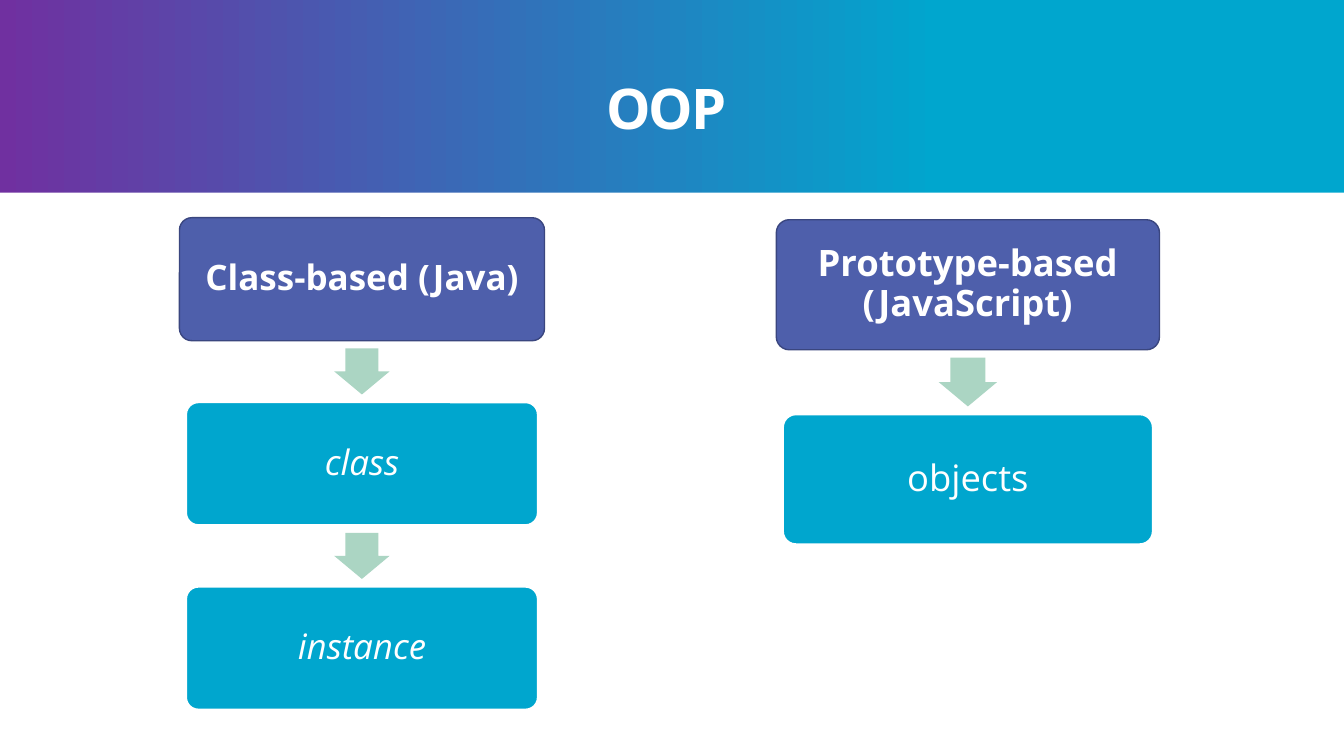
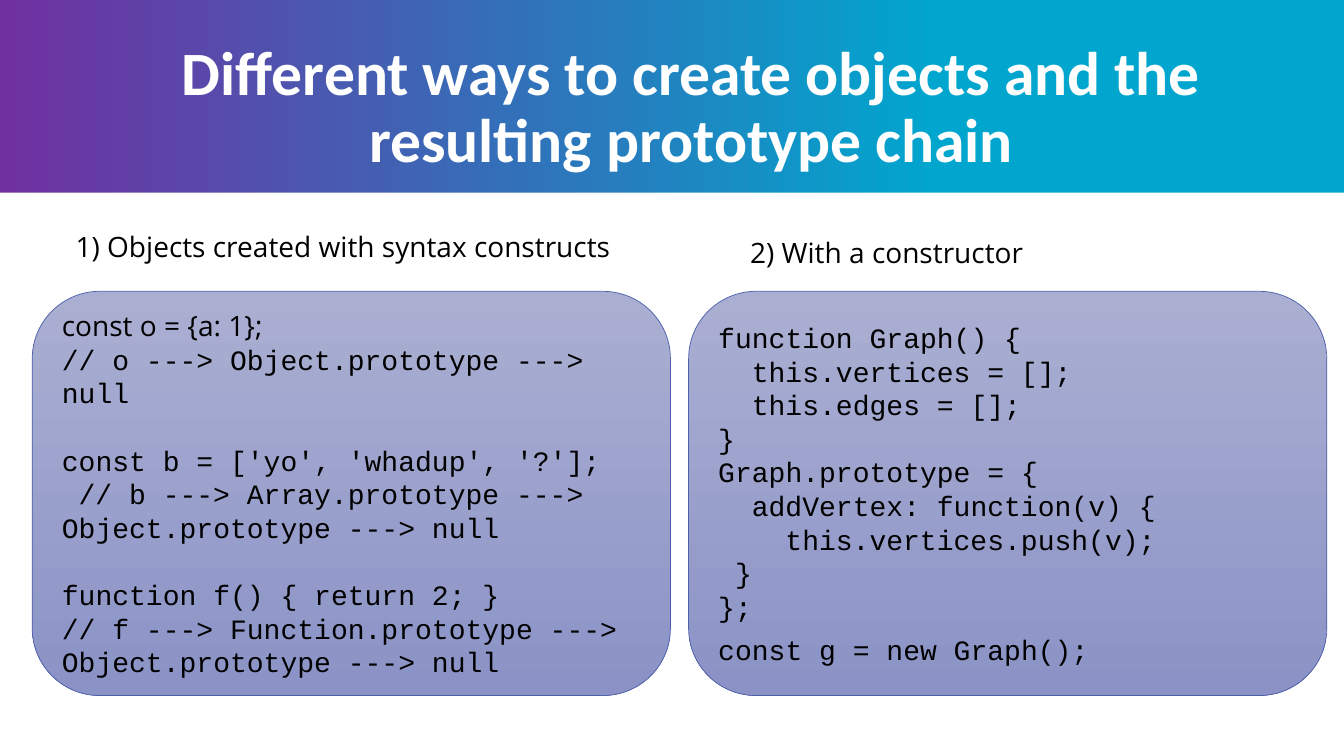
from dataclasses import dataclass

from pptx import Presentation
from pptx.dml.color import RGBColor
from pptx.enum.shapes import MSO_SHAPE as Preset
from pptx.enum.text import MSO_ANCHOR as Anchor, PP_ALIGN as Align
from pptx.util import Inches, Pt

SLIDE_WIDTH, SLIDE_HEIGHT = 13.33, 7.5
BAND_HEIGHT = 1.91
WHITE, BLACK = "FFFFFF", "000000"
CYAN, PURPLE = "00A6CE", "7030A0"
INDIGO, DARK_INDIGO, MINT = "4E5FAB", "3A467F", "ABD5C3"
PANEL_TOP_COLOR, PANEL_BOTTOM_COLOR = "AAAFD2", "8B93C6"
BODY_FONT, TITLE_FONT, CODE_FONT = "Open Sans", "Calibri", "Courier New"
CODE_SIZE, CODE_LINE, CODE_CHARACTER = 20, Pt(24), Pt(12)


@dataclass(frozen=True)
class Flow:
    """A column of boxes joined by arrows, headed by a bold box."""
    center: float
    top: float
    head_width: float
    item_width: float
    height: float
    gap: float
    size: int
    head: str
    items: tuple[str, ...]
    italic: bool = False


@dataclass(frozen=True)
class CodeLine:
    text: str
    space_before: float = 0
    font: str = CODE_FONT


@dataclass(frozen=True)
class Panel:
    left: float
    caption: str
    caption_left: float
    caption_top: float
    lines: tuple[CodeLine, ...]


FLOWS = (
    Flow(3.59, 2.16, 3.62, 3.49, 1.22, 0.61, 25,
         "Class-based (Java)", ("class", "instance"), italic=True),
    Flow(9.6, 2.18, 3.8, 3.67, 1.29, 0.64, 26,
         "Prototype-based (JavaScript)", ("objects",)),
)

PANELS = (
    Panel(0.32, "1) Objects created with syntax constructs", 0.75, 2.28, (
        CodeLine("const o = {a: 1};", font=BODY_FONT),
        CodeLine("// o ---> Object.prototype ---> null"),
        CodeLine("const b = ['yo', 'whadup', '?'];", space_before=24),
        CodeLine(" // b ---> Array.prototype ---> Object.prototype ---> null"),
        CodeLine("function f() { return 2; }", space_before=24),
        CodeLine("// f ---> Function.prototype ---> Object.prototype ---> null"),
    )),
    Panel(6.83, "2) With a constructor", 7.44, 2.34, (
        CodeLine("function Graph() {"),
        CodeLine("  this.vertices = [];"),
        CodeLine("  this.edges = [];"),
        CodeLine("}"),
        CodeLine("Graph.prototype = {"),
        CodeLine("  addVertex: function(v) {"),
        CodeLine("    this.vertices.push(v);"),
        CodeLine(" }"),
        CodeLine("};"),
        CodeLine("const g = new Graph();", space_before=7),
    )),
)


def color(value: str) -> RGBColor:
    return RGBColor.from_string(value)


def fill_gradient(fill, angle: float, *stops: tuple[float, str]) -> None:
    """Set a two-stop gradient; the angle runs counter-clockwise."""
    fill.gradient()
    fill.gradient_angle = angle
    for stop, (position, value) in zip(fill.gradient_stops, stops):
        stop.position = position
        stop.color.rgb = color(value)


def write(paragraph, text: str, *, size: float, font: str = BODY_FONT,
          fill: str = BLACK, bold: bool = False, italic: bool = False,
          align=Align.LEFT, line_spacing=1.0, space_before: float = 0,
          tracking: float = 0) -> None:
    """Put formatted text in a paragraph; tracking is in points."""
    paragraph.alignment = align
    paragraph.line_spacing = line_spacing
    paragraph.space_before = Pt(space_before)
    run = paragraph.add_run()
    run.text = text
    run.font.size, run.font.name = Pt(size), font
    run.font.bold, run.font.italic = bold, italic
    run.font.color.rgb = color(fill)
    if tracking:
        run._r.get_or_add_rPr().set("spc", str(int(tracking * 100)))


def set_frame(shape, *, horizontal: float = 0.1, vertical: float = 0.05,
              anchor=Anchor.MIDDLE):
    frame = shape.text_frame
    frame.word_wrap = True
    frame.vertical_anchor = anchor
    frame.margin_left = frame.margin_right = Inches(horizontal)
    frame.margin_top = frame.margin_bottom = Inches(vertical)
    return frame


def add_text(slide, left: float, top: float, width: float, height: float,
             text: str, **text_format) -> None:
    box = slide.shapes.add_textbox(
        Inches(left), Inches(top), Inches(width), Inches(height))
    frame = set_frame(box, horizontal=0, vertical=0, anchor=Anchor.TOP)
    write(frame.paragraphs[0], text, **text_format)


def add_shape(slide, preset, left: float, top: float, width: float,
              height: float, *, fill: str | None = None,
              line: str | None = None, line_width: float = 1,
              adjustments: tuple[float, ...] = ()):
    shape = slide.shapes.add_shape(
        preset, Inches(left), Inches(top), Inches(width), Inches(height))
    shape.shadow.inherit = False
    for index, value in enumerate(adjustments):
        shape.adjustments[index] = value
    if fill:
        shape.fill.solid()
        shape.fill.fore_color.rgb = color(fill)
    if line:
        shape.line.color.rgb = color(line)
        shape.line.width = Pt(line_width)
    else:
        shape.line.fill.background()
    return shape


def add_titled_slide(presentation, title: str, *, center: float, top: float,
                     **title_format):
    """Add a slide with the gradient band, the white body and a title."""
    slide = presentation.slides.add_slide(presentation.slide_layouts[6])
    fill_gradient(slide.background.fill, 180, (0.3, CYAN), (1, PURPLE))
    add_shape(slide, Preset.RECTANGLE, 0, BAND_HEIGHT, SLIDE_WIDTH,
              SLIDE_HEIGHT - BAND_HEIGHT, fill=WHITE)
    width = 11.2
    add_text(slide, center - width / 2, top, width, 0.75, title, fill=WHITE,
             bold=True, align=Align.CENTER, line_spacing=0.9, **title_format)
    return slide


def add_flow(slide, flow: Flow) -> None:
    arrow_width, arrow_height = 0.45 * flow.height, 0.375 * flow.height
    for index, text in enumerate((flow.head, *flow.items)):
        is_head = index == 0
        top = flow.top + index * (flow.height + flow.gap)
        width = flow.head_width if is_head else flow.item_width
        if not is_head:
            add_shape(slide, Preset.DOWN_ARROW, flow.center - arrow_width / 2,
                      top - (flow.gap + arrow_height) / 2, arrow_width,
                      arrow_height, fill=MINT, adjustments=(0.6, 0.5))
        box = add_shape(slide, Preset.ROUNDED_RECTANGLE,
                        flow.center - width / 2, top, width, flow.height,
                        fill=INDIGO if is_head else CYAN,
                        line=DARK_INDIGO if is_head else WHITE,
                        line_width=1 if is_head else 1.5, adjustments=(0.1,))
        frame = set_frame(box, vertical=0.1)
        write(frame.paragraphs[0], text, size=flow.size, fill=WHITE,
              bold=is_head, italic=flow.italic and not is_head,
              align=Align.CENTER, line_spacing=0.9)


def add_panel(slide, panel: Panel) -> None:
    add_text(slide, panel.caption_left, panel.caption_top, 5.7, 0.4,
             panel.caption, size=20)
    box = add_shape(slide, Preset.ROUNDED_RECTANGLE, panel.left, 2.89, 6.33,
                    4.01, line=INDIGO, line_width=0.5)
    fill_gradient(box.fill, 270, (0, PANEL_TOP_COLOR), (1, PANEL_BOTTOM_COLOR))
    frame = set_frame(box)
    for index, line in enumerate(panel.lines):
        paragraph = frame.add_paragraph() if index else frame.paragraphs[0]
        code = line.text.lstrip()
        write(paragraph, code, size=CODE_SIZE, font=line.font,
              line_spacing=CODE_LINE, space_before=line.space_before)
        indent = (len(line.text) - len(code)) * CODE_CHARACTER
        properties = paragraph._p.get_or_add_pPr()
        properties.set("marL", "0")
        properties.set("indent", str(indent))


def main() -> None:
    presentation = Presentation()
    presentation.slide_width = Inches(SLIDE_WIDTH)
    presentation.slide_height = Inches(SLIDE_HEIGHT)

    oop = add_titled_slide(presentation, "OOP", center=6.61, top=0.8,
                           size=40, font=BODY_FONT, tracking=-1.5)
    for flow in FLOWS:
        add_flow(oop, flow)

    creation = add_titled_slide(
        presentation,
        "Different ways to create objects and the resulting prototype chain",
        center=6.86, top=0.42, size=44, font=TITLE_FONT)
    for panel in PANELS:
        add_panel(creation, panel)

    presentation.save("out.pptx")


if __name__ == "__main__":
    main()
